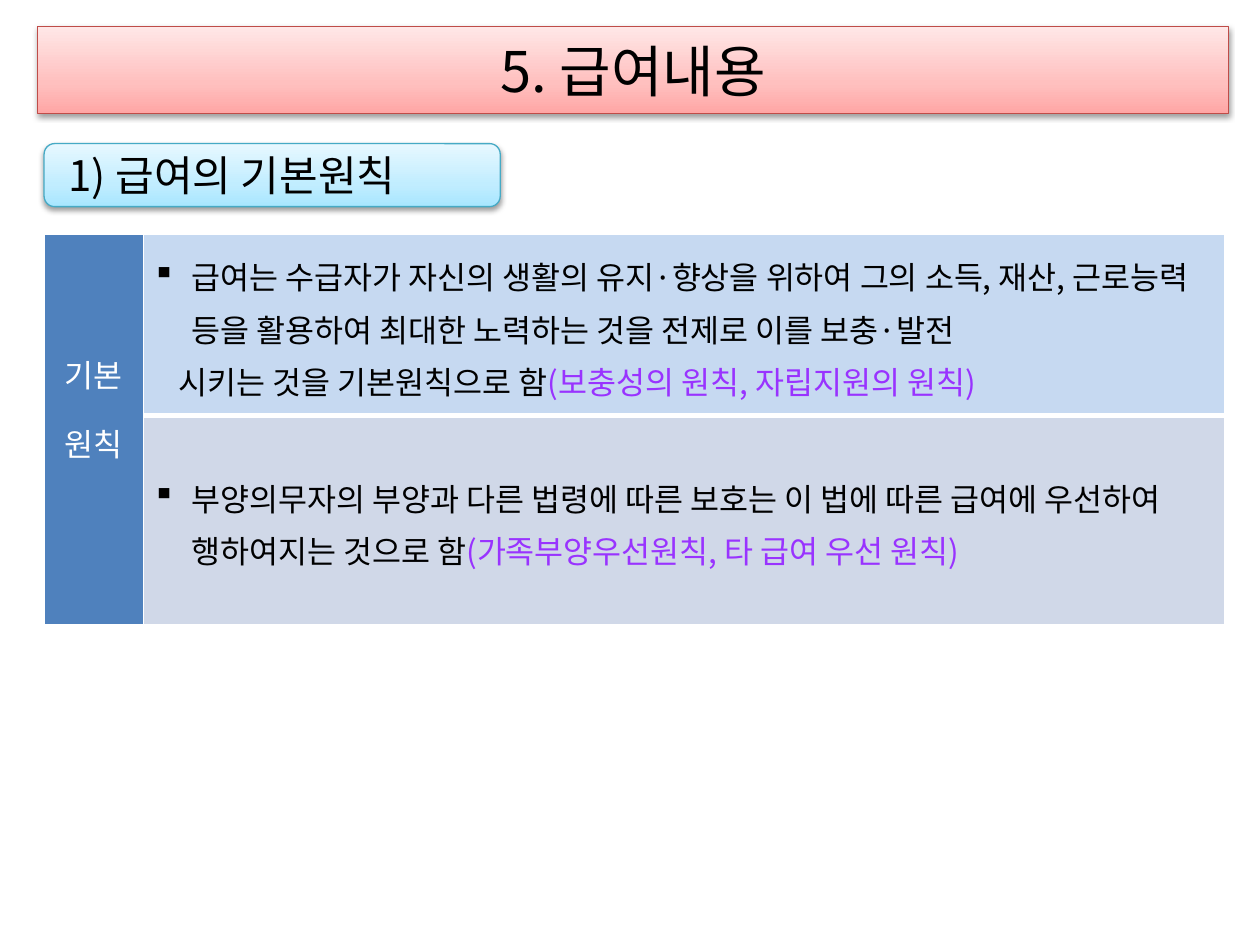
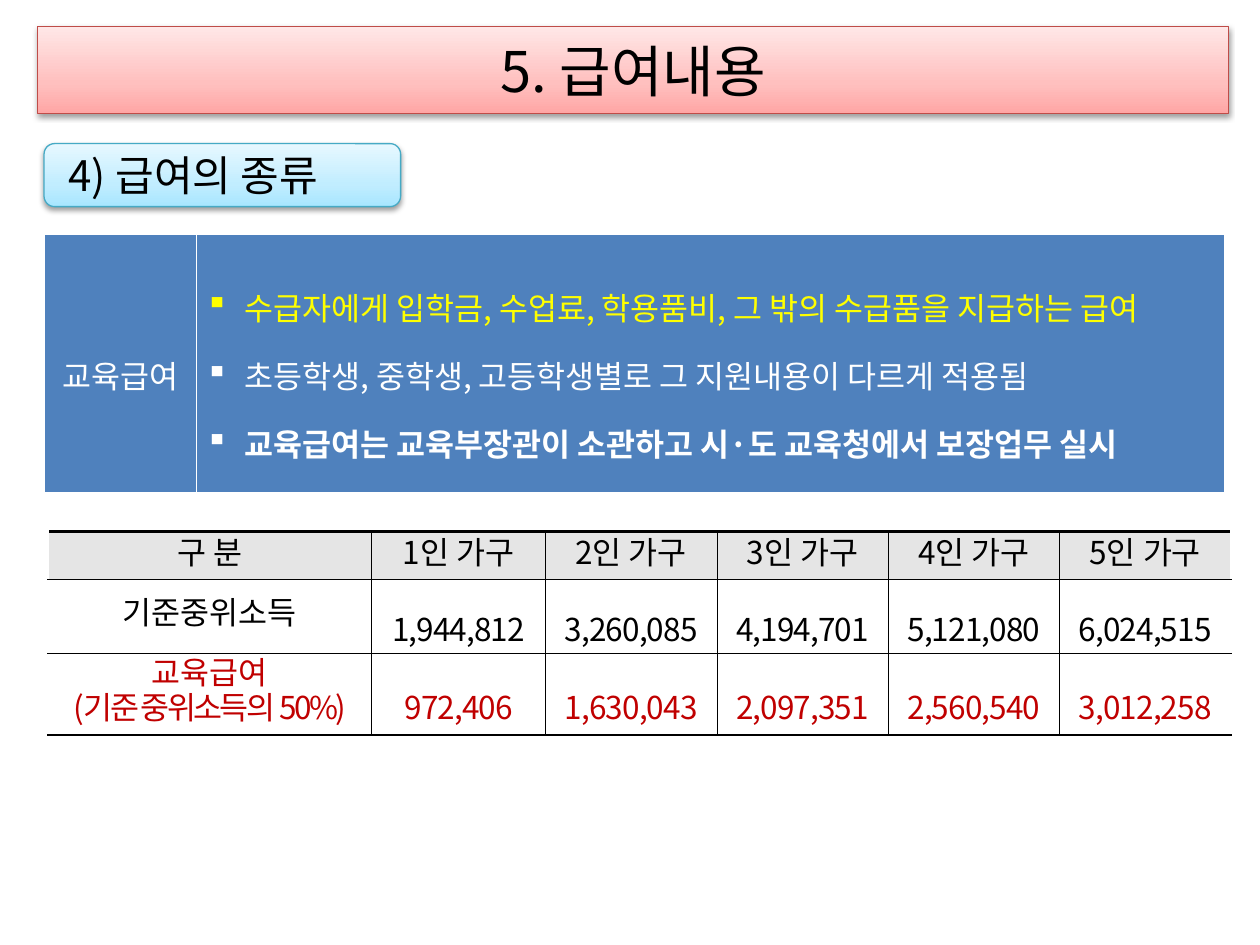
from pptx import Presentation
from pptx.dml.color import RGBColor
from pptx.enum.shapes import MSO_SHAPE as Shp
from pptx.enum.text import MSO_ANCHOR as Anchor, PP_ALIGN as Align
from pptx.oxml.ns import qn
from pptx.util import Inches, Pt
from lxml.etree import SubElement as Sub
from copy import deepcopy

FONT = "Noto Sans CJK KR"
BLACK = RGBColor(0, 0, 0)
WHITE = RGBColor(255, 255, 255)
RED = RGBColor(0xC0, 0, 0)
PURPLE = RGBColor(0x99, 0x33, 0xFF)
YELLOW = RGBColor(255, 255, 0)
BLUE = RGBColor(0x4F, 0x81, 0xBD)
PALE = RGBColor(0xC6, 0xD9, 0xF1)
MIST = RGBColor(0xD0, 0xD8, 0xE8)
GREY = RGBColor(0xE5, 0xE5, 0xE5)
ROSE = RGBColor(0xBF, 0x4C, 0x48)
TEAL = RGBColor(0x46, 0xAA, 0xC5)
PINKS = [RGBColor.from_string(c) for c in ("FFA6A5", "FFC0BF", "FFE7E7")]
SKIES = [RGBColor.from_string(c) for c in ("A7E6FF", "C1EDFF", "E7F8FF")]

THIN, THICK = 0.28, 1.7
HANG = 0.31


# Text
def style(run, size, color, bold=False, track=0):
    font = run.font
    font.size, font.bold, font.name = Pt(size), bold, FONT
    font.color.rgb = color
    props = run._r.get_or_add_rPr()
    Sub(props, qn("a:ea")).set("typeface", FONT)
    if track:
        props.set("spc", str(int(track * 100)))


def write(para, parts, space, align=Align.LEFT, size=18, bold=False, track=0):
    """Fill a paragraph with (text, colour) parts."""
    para.alignment, para.line_spacing = align, space
    for text, color in parts:
        run = para.add_run()
        run.text = text
        style(run, size, color, bold, track)


def indent(para, left, bullet=False):
    props = para._p.get_or_add_pPr()
    props.set("marL", str(Inches(left)))
    if bullet:
        props.set("indent", str(-Inches(left)))
        Sub(props, qn("a:buChar")).set("char", "▪")


def paras(frame, count):
    """Return the given number of paragraphs of a fresh frame."""
    return [frame.paragraphs[0]] + [frame.add_paragraph() for _ in range(count - 1)]


# Glossy bands
def gloss(shape, colors, edge):
    fill = shape.fill
    fill.gradient()
    fill.gradient_angle = 90
    stops = shape._element.spPr.find(qn("a:gradFill")).find(qn("a:gsLst"))
    stops.insert(1, deepcopy(stops[0]))
    for stop, color, pos in zip(fill.gradient_stops, colors, (0, 0.35, 1)):
        stop.color.rgb, stop.position = color, pos
    shape.line.color.rgb, shape.line.width = edge, Pt(0.75)
    shape.shadow.inherit = False
    glow = Sub(shape._element.spPr.find(qn("a:effectLst")), qn("a:outerShdw"),
               blurRad="40000", dist="20000", dir="5400000", rotWithShape="0")
    tint = Sub(glow, qn("a:srgbClr"), val="000000")
    Sub(tint, qn("a:alpha"), val="38000")


def place(shape, left, top, width, height):
    shape.left, shape.top = Inches(left), Inches(top)
    shape.width, shape.height = Inches(width), Inches(height)


def start(deck, head, width):
    """Add a slide with the shared title band and a section label."""
    slide = deck.slides.add_slide(deck.slide_layouts[5])
    title = slide.shapes.title
    place(title, 0.3, 0.21, 9.45, 0.69)
    gloss(title, PINKS, ROSE)
    title.text_frame.vertical_anchor = Anchor.MIDDLE
    write(title.text_frame.paragraphs[0], [("5. 급여내용", BLACK)], 1.0,
          Align.CENTER, 32)

    label = slide.shapes.add_shape(Shp.ROUNDED_RECTANGLE, Inches(0.35),
                                   Inches(1.14), Inches(width), Inches(0.5))
    gloss(label, SKIES, TEAL)
    frame = label.text_frame
    frame.vertical_anchor, frame.margin_left = Anchor.MIDDLE, Inches(0.17)
    write(frame.paragraphs[0], [(head, BLACK)], 1.0, size=24)
    return slide


# Tables
def grid(slide, left, top, cols, rows):
    frame = slide.shapes.add_table(len(rows), len(cols), Inches(left), Inches(top),
                                   Inches(sum(cols)), Inches(sum(rows)))
    table = frame.table
    table.first_row = table.horz_banding = False
    for col, width in zip(table.columns, cols):
        col.width = Inches(width)
    for row, height in zip(table.rows, rows):
        row.height = Inches(height)
    for cell in table.iter_cells():
        cell.vertical_anchor = Anchor.MIDDLE
        cell.margin_left = cell.margin_right = Inches(0.07)
        cell.margin_top = cell.margin_bottom = Inches(0.02)
    return table


def paint(cell, color, edge, sides):
    """Set borders from a {side: points} map in L, R, T, B order, then the fill."""
    props = cell._tc.get_or_add_tcPr()
    for side, width in sides.items():
        line = Sub(props, qn("a:ln" + side), w=str(Pt(width)))
        Sub(Sub(line, qn("a:solidFill")), qn("a:srgbClr"), val=str(edge))
    if color is None:
        cell.fill.background()
    else:
        cell.fill.solid()
        cell.fill.fore_color.rgb = color


def label(cell, lines):
    paint(cell, BLUE, WHITE, dict(L=1, R=1, T=1, B=1))
    for para, text in zip(paras(cell.text_frame, len(lines)), lines):
        write(para, [(text, WHITE)], 1.5, Align.CENTER)


def rules(deck):
    slide = start(deck, "1) 급여의 기본원칙", 3.62)
    table = grid(slide, 0.35, 1.86, [0.79, 8.58], [1.44, 1.66])
    side = table.cell(0, 0)
    side.merge(table.cell(1, 0))
    label(side, ["기본", "원칙"])
    side.margin_bottom = Inches(0.54)

    first, second = table.cell(0, 1), table.cell(1, 1)
    paint(first, PALE, WHITE, dict(L=1, R=1, T=1, B=3))
    paint(second, MIST, WHITE, dict(L=1, R=1, T=3, B=1))
    main_par, tail = paras(first.text_frame, 2)
    indent(main_par, HANG, True)
    write(main_par, [("급여는 수급자가 자신의 생활의 유지·향상을 위하여 그의 소득, 재산, "
                      "근로능력 등을 활용하여 최대한 노력하는 것을 전제로 이를 보충·발전",
                      BLACK)], Pt(30))
    indent(tail, 0.21)
    write(tail, [("시키는 것을 기본원칙으로 함", BLACK),
                 ("(보충성의 원칙, 자립지원의 원칙)", PURPLE)], Pt(30))
    para = second.text_frame.paragraphs[0]
    indent(para, HANG, True)
    write(para, [("부양의무자의 부양과 다른 법령에 따른 보호는 이 법에 따른 급여에 "
                  "우선하여 행하여지는 것으로 함", BLACK),
                 ("(가족부양우선원칙, 타 급여 우선 원칙)", PURPLE)], Pt(30))


def kinds(deck):
    slide = start(deck, "4) 급여의 종류", 2.83)

    # Education benefit
    table = grid(slide, 0.35, 1.86, [1.21, 8.16], [2.05])
    label(table.cell(0, 0), ["교육급여"])
    body = table.cell(0, 1)
    paint(body, BLUE, WHITE, dict(L=1, R=1, T=1, B=1))
    points = [
        ("수급자에게 입학금, 수업료, 학용품비, 그 밖의 수급품을 지급하는 급여", YELLOW, False),
        ("초등학생, 중학생, 고등학생별로 그 지원내용이 다르게 적용됨", WHITE, False),
        ("교육급여는 교육부장관이 소관하고 시·도 교육청에서 보장업무 실시", WHITE, True),
    ]
    for para, (text, color, bold) in zip(paras(body.text_frame, 3), points):
        indent(para, HANG, True)
        write(para, [(text, color)], 1.5, bold=bold)

    # Income by household size
    data = [
        ["구 분"] + [f"{n}인 가구" for n in range(1, 6)],
        ["기준중위소득", "1,944,812", "3,260,085", "4,194,701", "5,121,080", "6,024,515"],
        ["교육급여\n(기준 중위소득의 50%)", "972,406", "1,630,043", "2,097,351",
         "2,560,540", "3,012,258"],
    ]
    table = grid(slide, 0.38, 4.22, [2.57, 1.38] + [1.36] * 4, [0.38, 0.38, 0.65])
    for r, row in enumerate(data):
        for c, text in enumerate(row):
            cell = table.cell(r, c)
            sides = {}
            if c > 0:
                sides["L"] = THIN
            if c < len(row) - 1:
                sides["R"] = THIN
            sides["T"] = THICK if r == 0 else THIN
            sides["B"] = THICK if r == len(data) - 1 else THIN
            paint(cell, GREY if r == 0 else None, BLACK, sides)
            value = r > 0 and c > 0
            lines = text.split("\n")
            for i, para in enumerate(paras(cell.text_frame, len(lines))):
                track = -0.5 if value else -1.5 * i
                write(para, [(lines[i], RED if r == 2 else BLACK)],
                      1.5 if value else Pt(20), Align.CENTER, track=track)


def main():
    deck = Presentation()
    deck.slide_width, deck.slide_height = Inches(10), Inches(7.5)
    rules(deck)
    kinds(deck)
    deck.save("out.pptx")


if __name__ == "__main__":
    main()
